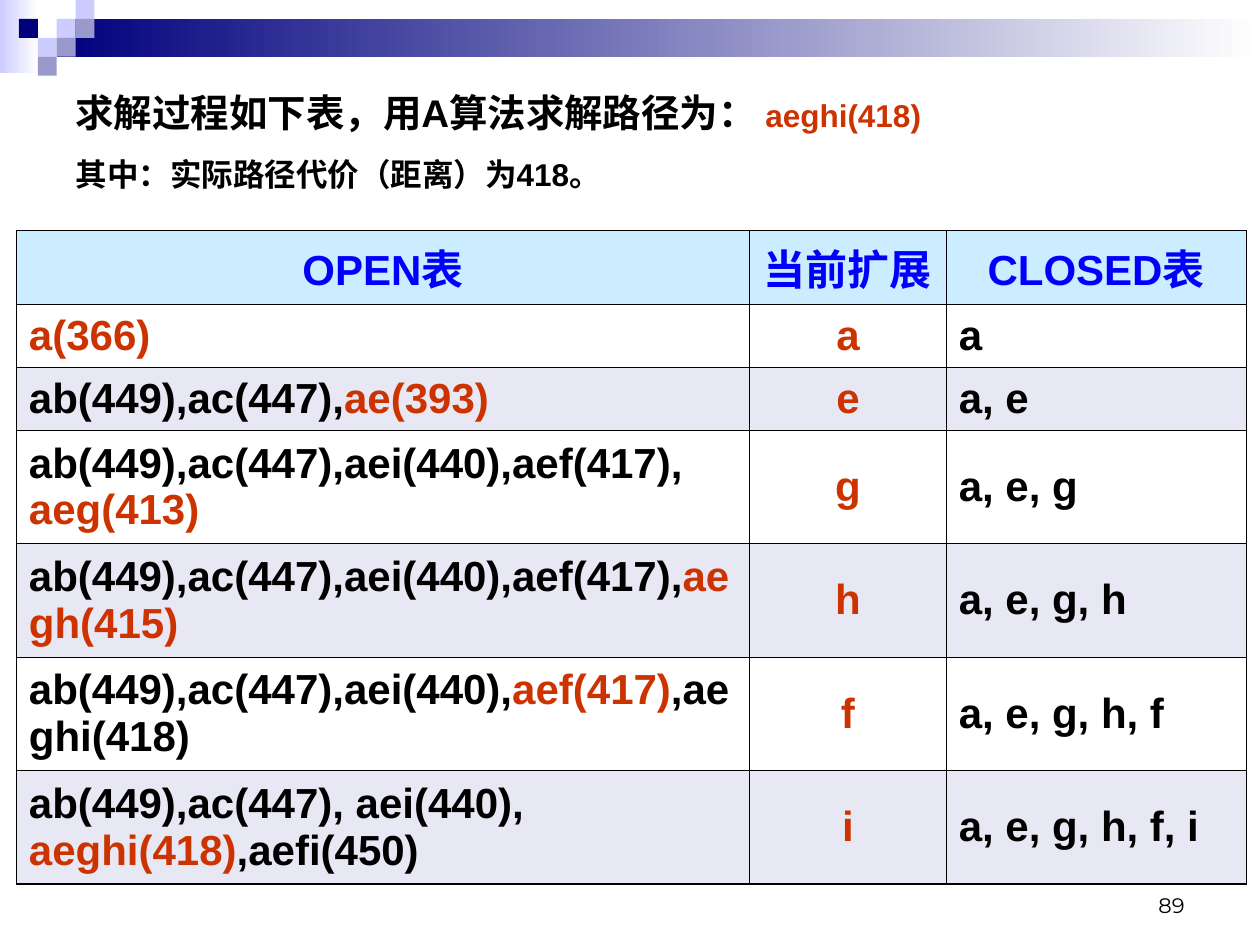
from lxml import etree
from pptx import Presentation
from pptx.dml.color import RGBColor
from pptx.enum.shapes import MSO_SHAPE
from pptx.enum.text import MSO_ANCHOR, MSO_AUTO_SIZE, PP_ALIGN
from pptx.oxml.ns import qn
from pptx.util import Inches, Pt

RECTANGLE = MSO_SHAPE.RECTANGLE
TOP, MIDDLE, BOTTOM = MSO_ANCHOR.TOP, MSO_ANCHOR.MIDDLE, MSO_ANCHOR.BOTTOM
LEFT, CENTER, RIGHT = PP_ALIGN.LEFT, PP_ALIGN.CENTER, PP_ALIGN.RIGHT
NO_FIT = MSO_AUTO_SIZE.NONE

SLIDE_WIDTH, SLIDE_HEIGHT = 10, 7.5
GRID = 0.15
BLACK, WHITE, RED, BLUE = "000000", "FFFFFF", "CC3300", "0000FF"
NAVY, LILAC, VIOLET = "00007D", "CCCCFF", "9999CC"
HEADER_FILL, BAND_FILL = "CCECFF", "E8E8F4"
MOSAIC = [(3, 1, LILAC), (4, 0, LILAC), (4, 1, VIOLET), (2, 2, LILAC),
          (1, 1, NAVY), (3, 2, VIOLET), (2, 3, VIOLET)]

COLUMN_WIDTHS = [5.82, 1.56, 2.38]
ROW_HEIGHTS = [0.58] + [0.5] * 2 + [0.9] * 4
HEADERS = ["OPEN表", "当前扩展", "CLOSED表"]
STEPS = [
    (["", "a(366)"], "a"),
    (["ab(449),ac(447),", "ae(393)"], "e"),
    (["ab(449),ac(447),aei(440),aef(417), ", "aeg(413)"], "g"),
    (["ab(449),ac(447),aei(440),aef(417),", "aegh(415)"], "h"),
    (["ab(449),ac(447),aei(440),", "aef(417)", ",aeghi(418)"], "f"),
    (["ab(449),ac(447), aei(440), ", "aeghi(418)", ",aefi(450)"], "i"),
]


def color(hex_string):
    """Turn a hex string into a colour."""
    return RGBColor.from_string(hex_string)


def write(paragraph, pieces, align=LEFT, font="Arial", bold=True):
    """Fill a paragraph with (text, size, colour) pieces."""
    paragraph.alignment = align
    for words, size, ink in pieces:
        run = paragraph.add_run()
        run.text = words
        run.font.name, run.font.bold = font, bold
        run.font.size = Pt(size)
        run.font.color.rgb = color(ink)


def add_block(slide, column, row, columns, rows, start, end=None):
    """Add a borderless rectangle on the grid, plain or fading to a second colour."""
    block = slide.shapes.add_shape(
        RECTANGLE, *(Inches(GRID * n) for n in (column, row, columns, rows)))
    block.shadow.inherit = False
    block.line.fill.background()
    if end:
        block.fill.gradient()
        block.fill.gradient_angle = 0
        for stop, tint, share in zip(block.fill.gradient_stops, (start, end), (0, 1)):
            stop.color.rgb = color(tint)
            stop.position = share
    else:
        block.fill.solid()
        block.fill.fore_color.rgb = color(start)


def add_banner(slide):
    """Draw the fading bar and the mosaic of squares at the top."""
    add_block(slide, 0, 0, 2, 3.85, LILAC, WHITE)
    add_block(slide, 3, 1, SLIDE_WIDTH / GRID - 3, 2, NAVY, WHITE)
    for column, row, tint in MOSAIC:
        add_block(slide, column, row, 1, 1, tint)


def add_heading(slide):
    """Put the answer and its cost in the title placeholder."""
    title = slide.shapes.title
    title.left, title.top = Inches(0.05 * SLIDE_WIDTH), Inches(0.66)
    title.width, title.height = Inches(0.9 * SLIDE_WIDTH), Inches(0.93)
    frame = title.text_frame
    frame.word_wrap, frame.auto_size, frame.vertical_anchor = True, NO_FIT, TOP
    write(frame.paragraphs[0], [("求解过程如下表，用A算法求解路径为： ", 22, BLACK),
                                ("aeghi(418)", 18, RED)])
    cost = frame.add_paragraph()
    cost.space_before = Pt(11.2)
    write(cost, [("其中：实际路径代价（距离）为418。", 18, BLACK)])


def set_borders(cell, top, bottom):
    """Draw black cell borders with the given top and bottom widths."""
    properties = cell._tc.get_or_add_tcPr()
    widths = {"a:lnL": 0.45, "a:lnR": 0.45, "a:lnT": top, "a:lnB": bottom}
    for place, (tag, width) in enumerate(widths.items()):
        line = etree.Element(qn(tag), w=str(Pt(width)))
        ink = etree.SubElement(etree.SubElement(line, qn("a:solidFill")), qn("a:srgbClr"))
        ink.set("val", BLACK)
        properties.insert(place, line)


def table_rows():
    """List every row as cells of (text, colour) pieces."""
    rows = [[[(header, BLUE)] for header in HEADERS]]
    closed = []
    for candidates, expanded in STEPS:
        closed.append(expanded)
        open_list = [(words, RED if i == 1 else BLACK)
                     for i, words in enumerate(candidates) if words]
        rows.append([open_list, [(expanded, RED)], [(", ".join(closed), BLACK)]])
    return rows


def add_search_table(slide):
    """Build the table of open list, expanded node and closed list."""
    rows = table_rows()
    last = len(rows) - 1
    table = slide.shapes.add_table(
        len(rows), len(HEADERS), Inches(0.13), Inches(1.83),
        Inches(sum(COLUMN_WIDTHS)), Inches(sum(ROW_HEIGHTS))).table
    table.first_row = table.horz_banding = False
    for column, width in zip(table.columns, COLUMN_WIDTHS):
        column.width = Inches(width)
    for r, (contents, height) in enumerate(zip(rows, ROW_HEIGHTS)):
        table.rows[r].height = Inches(height)
        fill = HEADER_FILL if r == 0 else WHITE if r % 2 else BAND_FILL
        for c, pieces in enumerate(contents):
            cell = table.cell(r, c)
            cell.vertical_anchor = MIDDLE
            cell.fill.solid()
            cell.fill.fore_color.rgb = color(fill)
            set_borders(cell, 1.08 if r == 0 else 0.45, 1.08 if r == last else 0.45)
            write(cell.text_frame.paragraphs[0],
                  [(words, 24, ink) for words, ink in pieces],
                  CENTER if r == 0 or c == 1 else LEFT)


def add_page_number(slide):
    """Add the page number at the bottom right."""
    number = slide.shapes.add_textbox(
        Inches(7.17), Inches(6.83), Inches(2.33), Inches(0.5))
    frame = number.text_frame
    frame.word_wrap, frame.vertical_anchor = True, BOTTOM
    write(frame.paragraphs[0], [("89", 12, BLACK)], RIGHT, "Montserrat", False)


def main():
    """Build the slide and save it."""
    deck = Presentation()
    deck.slide_width, deck.slide_height = Inches(SLIDE_WIDTH), Inches(SLIDE_HEIGHT)
    slide = deck.slides.add_slide(deck.slide_layouts.get_by_name("Title Only"))
    add_banner(slide)
    add_search_table(slide)
    add_heading(slide)
    add_page_number(slide)
    deck.save("out.pptx")


if __name__ == "__main__":
    main()
